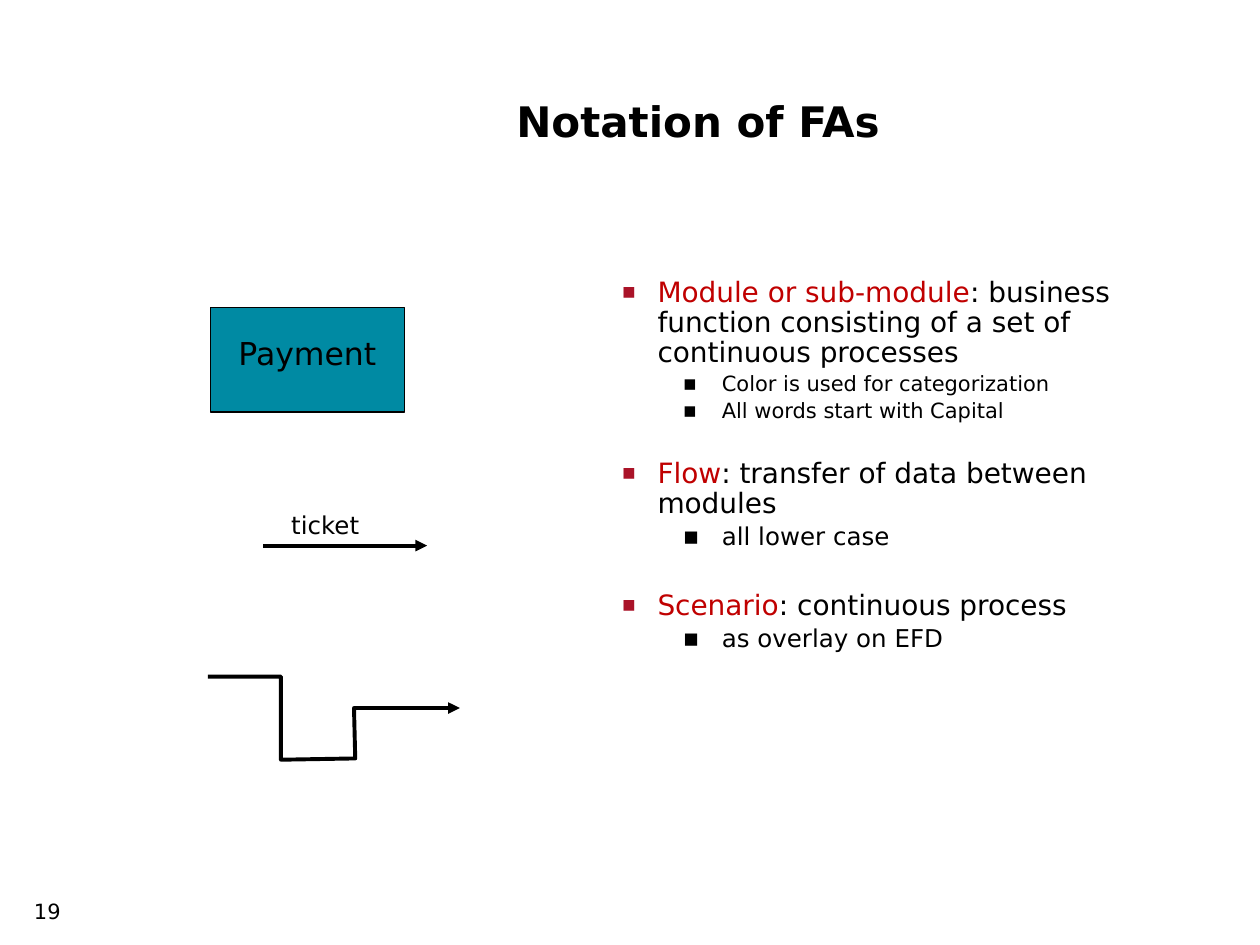
import pptx
import pptx.dml.color
import pptx.enum.shapes
import pptx.enum.text
import pptx.oxml
import pptx.oxml.ns
import pptx.util

Pt = pptx.util.Pt
ALIGN = pptx.enum.text.PP_ALIGN
ANCHOR = pptx.enum.text.MSO_ANCHOR

FONT = "DejaVu Sans"
BLACK, RED, BULLET_RED, TEAL = "000000", "C00000", "AA1328", "008AA3"
LINE_WIDTH = 2.25

# Bullet list: term, explanation, details, detail size, gap above the term
SECTIONS = [
    ("Module or sub-module",
     ": business function consisting of a set of continuous processes",
     ["Color is used for categorization", "All words start with Capital"], 12, 3.2),
    ("Flow", ": transfer of data between modules", ["all lower case"], 14, 20.7),
    ("Scenario", ": continuous process", ["as overlay on EFD"], 14, 23.2),
]


def color(hex_value):
    return pptx.dml.color.RGBColor.from_string(hex_value)


def apply_format(target, values):
    for name, value in values.items():
        setattr(target, name, value)


def add_xml(parent, xml):
    namespaces = pptx.oxml.ns.nsdecls("a")
    parent.append(pptx.oxml.parse_xml(xml.replace("/>", f" {namespaces}/>", 1)))


def add_run(paragraph, text, size, hex_value=BLACK, bold=False):
    run = paragraph.add_run()
    run.text = text
    apply_format(run.font, {"name": FONT, "size": Pt(size), "bold": bold})
    run.font.color.rgb = color(hex_value)


def add_text_box(slide, left, top, width, height, **frame_format):
    box = slide.shapes.add_textbox(Pt(left), Pt(top), Pt(width), Pt(height))
    apply_format(box.text_frame, {"word_wrap": True, **frame_format})
    return box.text_frame


def add_label(slide, text, bounds, size, alignment, bold=False, **frame_format):
    paragraph = add_text_box(slide, *bounds, **frame_format).paragraphs[0]
    paragraph.alignment = alignment
    add_run(paragraph, text, size, bold=bold)


def format_bullet(paragraph, character, hex_value, percent, left, hanging, gap):
    apply_format(paragraph, {"line_spacing": 0.9, "space_before": Pt(gap)})
    properties = paragraph._p.get_or_add_pPr()
    properties.set("marL", str(Pt(left)))
    properties.set("indent", str(-Pt(hanging)))
    bullet_color = pptx.oxml.parse_xml(
        f'<a:buClr {pptx.oxml.ns.nsdecls("a")}><a:srgbClr val="{hex_value}"/></a:buClr>')
    properties.append(bullet_color)
    add_xml(properties, f'<a:buSzPct val="{percent * 1000}"/>')
    add_xml(properties, f'<a:buFont typeface="{FONT}"/>')
    add_xml(properties, f'<a:buChar char="{character}"/>')


def add_bullet_list(slide, bounds):
    frame = add_text_box(slide, *bounds)
    paragraph = frame.paragraphs[0]
    for term, explanation, details, detail_size, gap in SECTIONS:
        if paragraph.runs:
            paragraph = frame.add_paragraph()
        format_bullet(paragraph, "■", BULLET_RED, 50, 20.16, 20.16, gap)
        add_run(paragraph, term, 16, RED)
        add_run(paragraph, explanation, 16)
        for detail in details:
            paragraph = frame.add_paragraph()
            paragraph.level = 1
            format_bullet(paragraph, "▪", BLACK, 100, 56.88, 22.32, detail_size * 0.2)
            add_run(paragraph, detail, detail_size)


def add_module(slide, text, left, top, width, height):
    shape = slide.shapes.add_shape(
        pptx.enum.shapes.MSO_SHAPE.RECTANGLE, Pt(left), Pt(top), Pt(width), Pt(height))
    shape.shadow.inherit = False
    shape.fill.solid()
    shape.fill.fore_color.rgb = color(TEAL)
    shape.line.color.rgb = color(BLACK)
    shape.line.width = Pt(1)
    apply_format(shape.text_frame, {"word_wrap": False, "vertical_anchor": ANCHOR.MIDDLE})
    paragraph = shape.text_frame.paragraphs[0]
    apply_format(paragraph, {"alignment": ALIGN.CENTER, "line_spacing": 0.5})
    add_run(paragraph, text, 18)


def format_arrow(shape):
    shape.line.color.rgb = color(BLACK)
    shape.line.width = Pt(LINE_WIDTH)
    add_xml(shape.line._get_or_add_ln(), '<a:tailEnd type="triangle"/>')


def add_flow(slide, start, end):
    connector = slide.shapes.add_connector(
        pptx.enum.shapes.MSO_CONNECTOR.STRAIGHT, *map(Pt, start + end))
    format_arrow(connector)
    add_xml(connector._element.spPr, "<a:effectLst/>")


def add_scenario(slide, points):
    corners = [(Pt(x), Pt(y)) for x, y in points]
    builder = slide.shapes.build_freeform(*corners[0])
    builder.add_line_segments(corners[1:], close=False)
    shape = builder.convert_to_shape()
    shape.shadow.inherit = False
    shape.fill.background()
    format_arrow(shape)


def main():
    presentation = pptx.Presentation()
    apply_format(presentation, {"slide_width": Pt(720), "slide_height": Pt(540)})
    slide = presentation.slides.add_slide(presentation.slide_layouts[6])

    # Page number, title and explanations
    add_label(slide, "19", (0, 509.76, 41.76, 30.24), 12, ALIGN.RIGHT)
    add_label(slide, "Notation of FAs", (108, 23.76, 581.76, 90), 24, ALIGN.CENTER,
              bold=True, vertical_anchor=ANCHOR.MIDDLE)
    add_bullet_list(slide, (348.48, 155.52, 351.36, 295.2))

    # Notation examples: module, flow and scenario
    add_module(slide, "Payment", 120.24, 175.68, 110.88, 59.76)
    add_flow(slide, (150.48, 311.76), (244.08, 311.76))
    add_label(slide, "ticket", (159.12, 288, 53.28, 23.76), 14, ALIGN.RIGHT,
              word_wrap=False, vertical_anchor=ANCHOR.MIDDLE)
    add_scenario(slide, [(118.8, 386.64), (160.56, 386.64), (160.56, 434.16),
                         (203.04, 433.44), (202.32, 404.64), (262.8, 404.64)])

    presentation.save("out.pptx")


if __name__ == "__main__":
    main()
